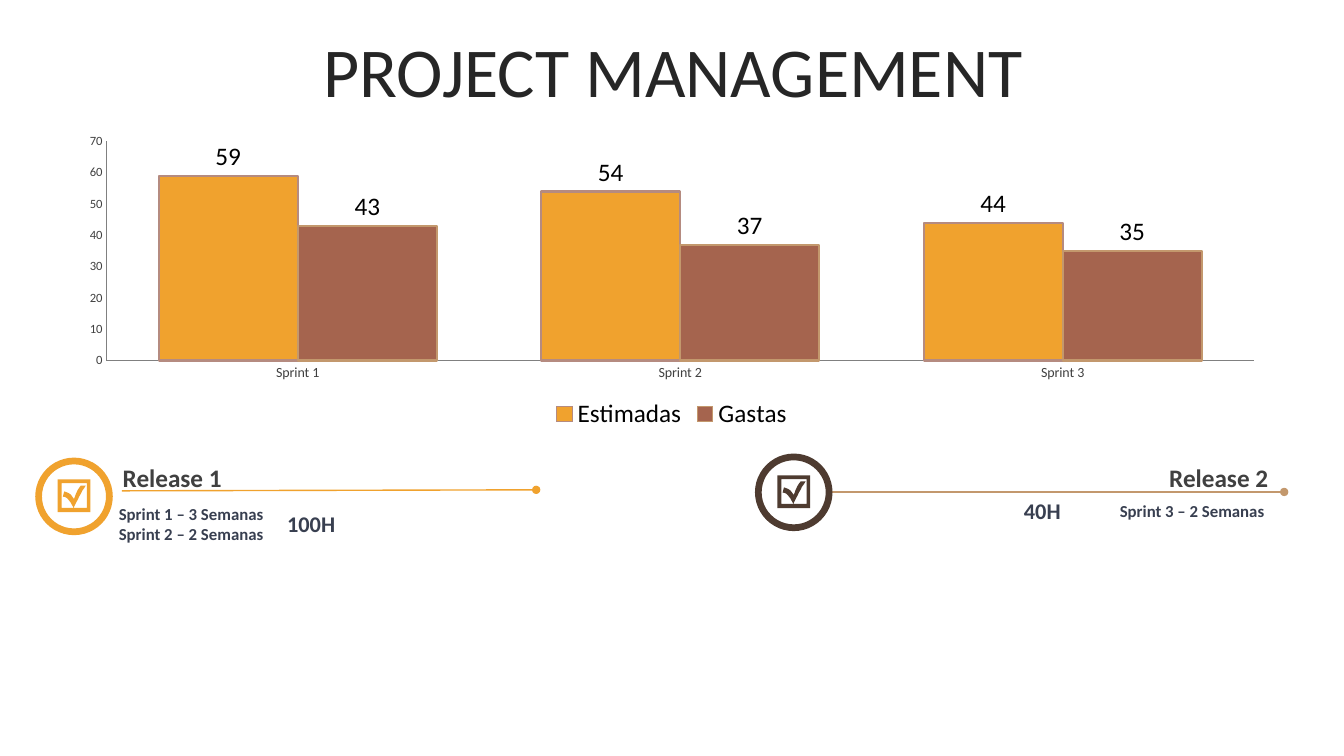
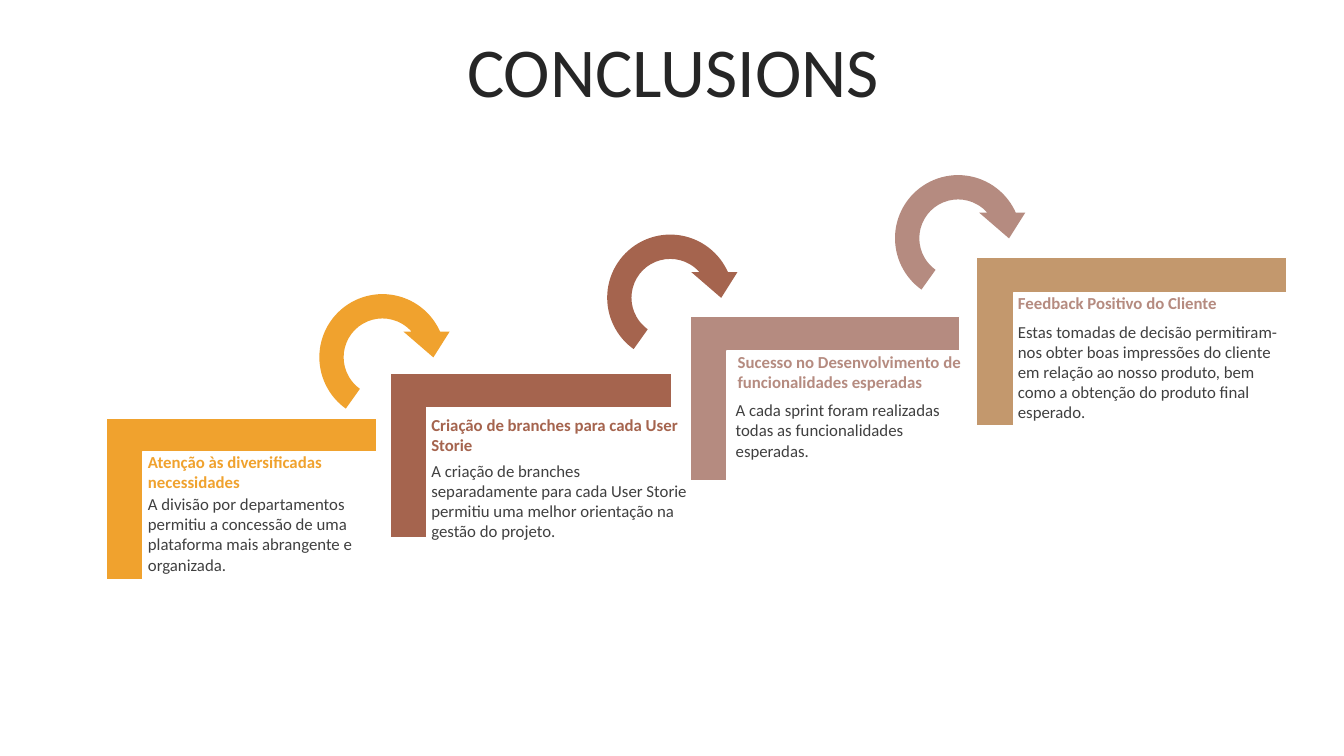
from dataclasses import dataclass
from lxml.etree import SubElement
from pptx import Presentation
from pptx.chart.data import CategoryChartData
from pptx.dml.color import RGBColor
from pptx.enum.chart import XL_CHART_TYPE as Chart, XL_LABEL_POSITION as LabelPos
from pptx.enum.chart import XL_LEGEND_POSITION as LegendPos, XL_TICK_MARK as Tick
from pptx.enum.shapes import MSO_CONNECTOR as Conn, MSO_SHAPE as Shape
from pptx.enum.text import MSO_ANCHOR as Anchor, PP_ALIGN as Align
from pptx.oxml.ns import qn
from pptx.util import Pt


@dataclass(frozen=True)
class Theme:
    font: str = "Calibri"
    orange: str = "F0A22E"
    brown: str = "A5644E"
    rose: str = "B58B80"
    tan: str = "C3986D"
    dark: str = "4E3B30"
    title: str = "262626"
    text: str = "404040"
    slate: str = "383F50"
    axis: str = "808080"
    white: str = "FFFFFF"
    black: str = "000000"
    title_size: int = 50
    heading_size: int = 18
    hours_size: int = 16
    body_size: int = 12
    category_size: int = 10
    value_size: int = 9


T = Theme()


def rgb(color):
    return RGBColor.from_string(color)


def style_font(font, size, color, bold=False):
    font.name, font.size, font.bold = T.font, Pt(size), bold
    font.color.rgb = rgb(color)


def style_shape(sp, fill, line=None):
    sp.shadow.inherit = False
    sp.fill.solid()
    sp.fill.fore_color.rgb = rgb(fill)
    if line:
        sp.line.color.rgb = rgb(line)
        sp.line.width = Pt(1)
    else:
        sp.line.fill.background()


def add_shape(s, kind, box, fill, adjustments, line=None):
    sp = s.shapes.add_shape(kind, *map(Pt, box))
    for i, value in enumerate(adjustments):
        sp.adjustments[i] = value
    style_shape(sp, fill, line)
    return sp


def add_text(s, box, text, size, color, bold=False, align=Align.LEFT, anchor=Anchor.TOP):
    tf = s.shapes.add_textbox(*map(Pt, box)).text_frame
    tf.word_wrap = True
    tf.vertical_anchor = anchor
    tf.text = text
    for p in tf.paragraphs:
        p.alignment = align
        for r in p.runs:
            style_font(r.font, size, color, bold)
    return tf


def add_title(s, text):
    tf = add_text(s, (25.2, 26.64, 911.5, 56.9), text, T.title_size, T.title,
                  align=Align.CENTER, anchor=Anchor.MIDDLE)
    p = tf.paragraphs[0]
    p.line_spacing = 0.8
    p.space_before = Pt(10)


def add_dotted_end_line(s, start, end, color):
    line = s.shapes.add_connector(Conn.STRAIGHT, *map(Pt, start + end))
    line.line.color.rgb = rgb(color)
    line.line.width = Pt(1)
    props = line._element.spPr
    SubElement(props.get_or_add_ln(), qn("a:tailEnd"), type="oval")
    SubElement(props, qn("a:effectLst"))


def curve(a, b, c, d, steps=8):
    points = []
    for i in range(1, steps + 1):
        t = i / steps
        u = 1 - t
        weights = (u ** 3, 3 * u * u * t, 3 * u * t * t, t ** 3)
        points.append(tuple(sum(w * q[k] for w, q in zip(weights, (a, b, c, d)))
                            for k in (0, 1)))
    return points


def add_check_icon(s, x, y, size, color):
    tail = (49, 87)
    inner = [(12, 87), tail]
    inner += curve(tail, (40, 75), (35, 53), (16, 53))
    inner += [(20, 37)] + curve((20, 37), (38, 41), (42, 48), (50, 60))
    inner += curve((50, 60), (55, 45), (59, 34), (71, 19))
    inner += [(86, 19)] + curve((86, 19), (71, 40), (60, 64), tail)
    inner += [(89, 87), (89, 12)]
    fb = s.shapes.build_freeform(0, 0, scale=Pt(size) / 100)
    fb.add_line_segments([(100, 0), (100, 100), (0, 100)], close=True)
    fb.move_to(12, 12)
    fb.add_line_segments(inner, close=True)
    style_shape(fb.convert_to_shape(Pt(x), Pt(y)), color)


def add_badge(s, x, y, color, size=55.4, icon=23.4):
    add_shape(s, Shape.DONUT, (x, y, size, size), color, [0.087])
    inset = (size - icon) / 2
    add_check_icon(s, x + inset, y + inset - 0.5, icon, color)


def add_release(s, x, y, color, line_color, line, name, name_box, sprints, sprint_box,
                hours, hours_at, align):
    def place(box):
        return (x + box[0], y + box[1], *box[2:])

    add_dotted_end_line(s, place(line[0]), place(line[1]), line_color)
    add_badge(s, x, y, color)
    add_text(s, place(name_box), name, T.heading_size, T.text, True, align)
    add_text(s, place(sprint_box), sprints, T.body_size, T.slate, True, align)
    add_text(s, place(hours_at + (120, 26.6)), hours, T.hours_size, T.slate, True)


def style_axis(axis, size):
    axis.has_major_gridlines = False
    axis.major_tick_mark = axis.minor_tick_mark = Tick.NONE
    axis.format.line.color.rgb = rgb(T.axis)
    axis.format.line.width = Pt(0.75)
    style_font(axis.tick_labels.font, size, T.text)


def add_hours_chart(s, box):
    data = CategoryChartData()
    data.categories = ["Sprint 1", "Sprint 2", "Sprint 3"]
    data.add_series("Estimadas", (59, 54, 44))
    data.add_series("Gastas", (43, 37, 35))
    chart = s.shapes.add_chart(Chart.COLUMN_CLUSTERED, *map(Pt, box), data).chart
    style_font(chart.font, T.heading_size, T.black)
    chart.has_title = False
    chart.has_legend = True
    chart.legend.position = LegendPos.BOTTOM
    chart.legend.include_in_layout = False
    style_font(chart.legend.font, T.heading_size, T.black)
    style_axis(chart.category_axis, T.category_size)
    style_axis(chart.value_axis, T.value_size)
    chart.value_axis.minimum_scale = 0
    chart.value_axis.maximum_scale = 70
    chart.value_axis.major_unit = 10
    plot = chart.plots[0]
    plot.gap_width, plot.overlap = 75, 0
    plot.vary_by_categories = False
    for series, fill, line in zip(plot.series, (T.orange, T.brown), (T.rose, T.tan)):
        series.format.fill.solid()
        series.format.fill.fore_color.rgb = rgb(fill)
        series.format.line.color.rgb = rgb(line)
        series.format.line.width = Pt(1.5)
        labels = series.data_labels
        labels.show_value = True
        labels.position = LabelPos.OUTSIDE_END
        style_font(labels.font, T.heading_size, T.black)


def add_step(s, box, color, heading_color, heading, heading_box, body, body_box):
    x, y, w, h = box
    corner = add_shape(s, Shape.CORNER, (x + (w - h) / 2, y + (h - w) / 2, h, w),
                       color, [0.221, 0.21], T.white)
    corner.rotation = 90
    dx, bottom, width = heading_box
    add_text(s, (x + dx, y + bottom - 36, width, 36), heading, T.body_size,
             heading_color, True, anchor=Anchor.BOTTOM)
    dx, top, width = body_box
    add_text(s, (x + dx, y + top, width, 65), body, T.body_size, T.text)


def add_turn_arrows(s, x, y, colors, size=105.8, dx=205.6, dy=-42.5):
    for i, color in enumerate(colors):
        add_shape(s, Shape.CIRCULAR_ARROW, (x + i * dx, y + i * dy, size, size), color,
                  [0.164, 18.214, 197.903, 75.279, 0.156])


def management_slide(s):
    add_title(s, "PROJECT MANAGEMENT")
    add_hours_chart(s, (46.8, 91.4, 866.2, 218.9))
    add_release(s, 25.2, 326.9, T.orange, T.orange, ((61.9, 23.7), (357.8, 23)),
                "Release 1", (55.4, 0, 302.4, 29.5),
                "Sprint 1 – 3 Semanas\nSprint 2 – 2 Semanas", (52.6, 29.5, 120.2, 36),
                "100H", (172.8, 33.8), Align.LEFT)
    add_release(s, 539.3, 324, T.dark, T.tan, ((51.1, 27.4), (378, 27.4)),
                "Release 2", (54, 2.9, 319.7, 28.8),
                "Sprint 3 – 2 Semanas ", (54.7, 30.2, 319, 21.6),
                "40H", (185, 27.4), Align.RIGHT)


def conclusions_slide(s):
    add_title(s, "CONCLUSIONS")
    steps = [
        ((76.3, 298.8, 193, 115.2), T.orange, T.orange,
         "Atenção às diversificadas necessidades", (22.3, 56.2, 190.8),
         "A divisão por departamentos permitiu a concessão de uma plataforma mais "
         "abrangente e organizada.", (22.3, 50.4, 194.4)),
        ((278.6, 266.4, 200.9, 117.4), T.brown, T.brown,
         "Criação de branches para cada User Storie", (22.4, 61.9, 194.4),
         "A criação de branches separadamente para cada User Storie permitiu uma "
         "melhor orientação na gestão do projeto.", (22.4, 59, 198)),
        ((493.2, 226.1, 192.2, 117.4), T.rose, T.rose,
         "Sucesso no Desenvolvimento de funcionalidades esperadas", (26.6, 57.6, 190.8),
         "A cada sprint foram realizadas todas as funcionalidades esperadas.",
         (25.2, 56.1, 185.8)),
        ((697.3, 184, 221.8, 120.2), T.tan, T.rose,
         "Feedback Positivo do Cliente", (22.7, 43.2, 178.6),
         "Estas tomadas de decisão permitiram-nos obter boas impressões do cliente "
         "em relação ao nosso produto, bem como a obtenção do produto final esperado.",
         (22.7, 42.1, 200.2)),
    ]
    for step in steps:
        add_step(s, *step)
    add_turn_arrows(s, 220.3, 202.3, (T.orange, T.brown, T.rose))


prs = Presentation()
prs.slide_width, prs.slide_height = Pt(960), Pt(540)
for build in (management_slide, conclusions_slide):
    build(prs.slides.add_slide(prs.slide_layouts[6]))
prs.save("out.pptx")
